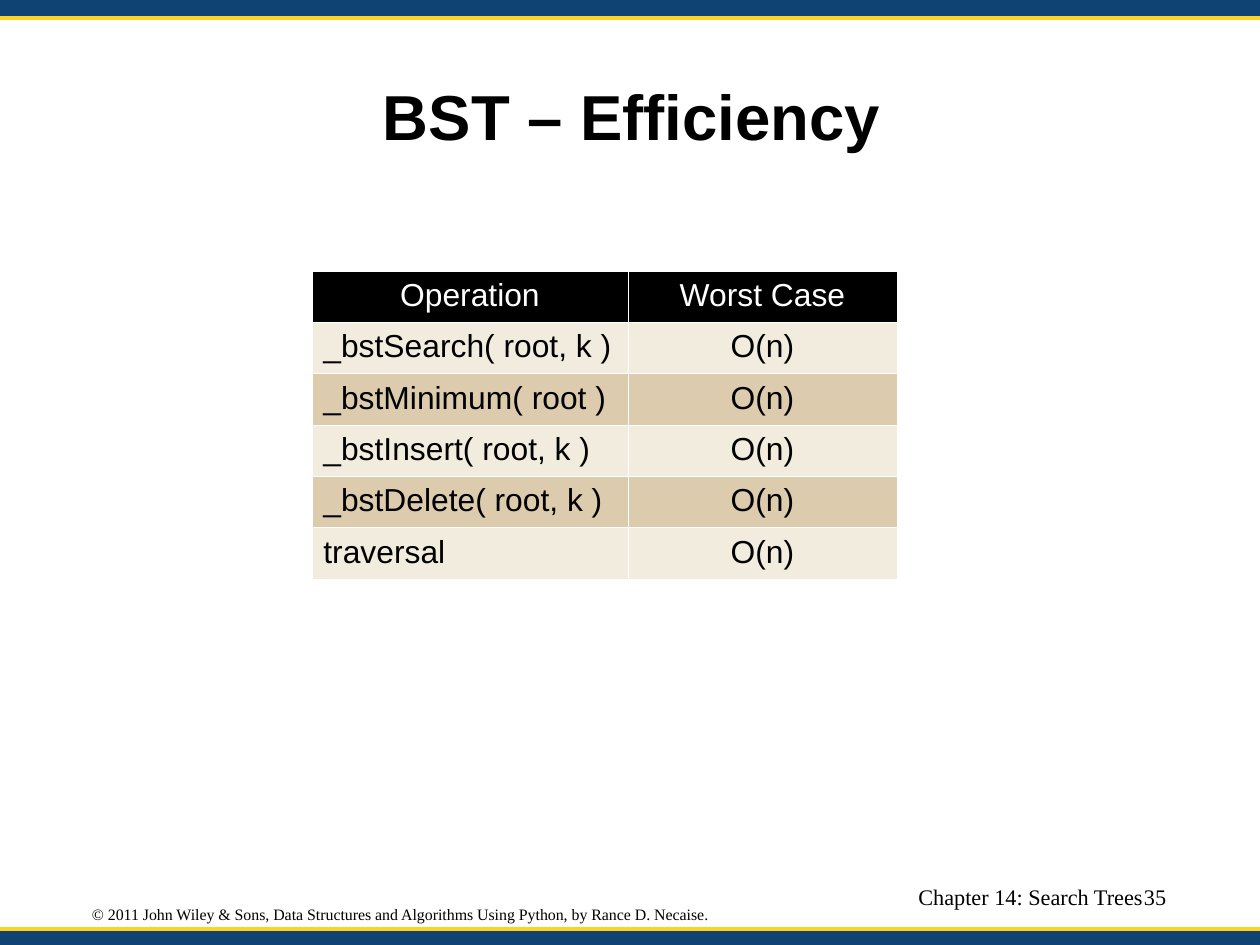
from lxml.etree import SubElement
from pptx import Presentation
from pptx.dml.color import RGBColor
from pptx.enum.shapes import MSO_CONNECTOR as Connector, MSO_SHAPE as Shape
from pptx.enum.text import MSO_ANCHOR as Anchor, PP_ALIGN as Align
from pptx.oxml.ns import qn
from pptx.util import Pt

# Content
WIDTH, HEIGHT = 1260, 945
NAVY, GOLD, BLACK, WHITE = "0F4374", "FFD320", "000000", "FFFFFF"
BANDS = ("F2ECDE", "DCCBAC")

# text, (left, top, width, height), top inset, font, size, bold, align, anchor, wrap
TEXTS = [
    ("© 2011 John Wiley & Sons, Data Structures and Algorithms Using Python, by Rance D. Necaise.",
     (92, 906, 623, 17), 1, "Times New Roman", 10, False, Align.LEFT, Anchor.MIDDLE, False),
    ("BST – Efficiency", (63, 38, 1137, 158), 5, "Arial", 40, True, Align.CENTER, Anchor.MIDDLE, True),
    ("Chapter 14: Search Trees", (744, 886, 399, 40), 0, "Times New Roman", 14, False,
     Align.RIGHT, Anchor.TOP, True),
    ("35", (1144, 886, 53, 40), 0, "Times New Roman", 14, False, Align.LEFT, Anchor.TOP, True),
]
BARS = [(0, 18, 18), (929, 16, 929)]  # bar top, bar height, gold line y
ROWS = [
    ("Operation", "Worst Case"),
    ("_bstSearch( root, k )", "O(n)"),
    ("_bstMinimum( root )", "O(n)"),
    ("_bstInsert( root, k )", "O(n)"),
    ("_bstDelete( root, k )", "O(n)"),
    ("traversal", "O(n)"),
]
TABLE_LEFT, TABLE_TOP, TABLE_HEIGHT = 312, 271, 308
COLUMNS = (316, 269)


def px(length):
    return length * 8000


def color(value):
    return RGBColor.from_string(value)


def style(paragraph, font, size, value, align, bold=False):
    paragraph.alignment = align
    paragraph.line_spacing = 0.93
    paragraph.font.name = font
    paragraph.font.size = Pt(size)
    paragraph.font.bold = bold
    paragraph.font.color.rgb = color(value)


def add_border(cell, side):
    line = SubElement(cell._tc.get_or_add_tcPr(), qn(f"a:ln{side}"), w=str(Pt(0.28)))
    fill = SubElement(line, qn("a:solidFill"))
    SubElement(fill, qn("a:srgbClr"), val=WHITE)


presentation = Presentation()
presentation.slide_width, presentation.slide_height = px(WIDTH), px(HEIGHT)
slide = presentation.slides.add_slide(presentation.slide_layouts[6])

# Navy bars edged in gold
for top, height, line_y in BARS:
    bar = slide.shapes.add_shape(Shape.RECTANGLE, 0, px(top), px(WIDTH), px(height))
    bar.shadow.inherit = False
    bar.fill.solid()
    bar.fill.fore_color.rgb = color(NAVY)
    bar.line.fill.background()
    edge = slide.shapes.add_connector(Connector.STRAIGHT, 0, px(line_y), px(WIDTH), px(line_y))
    edge.line.color.rgb = color(GOLD)
    edge.line.width = Pt(2)
    SubElement(edge._element.spPr, qn("a:effectLst"))

# Title and footer
for text, box, inset, font, size, bold, align, anchor, wrap in TEXTS:
    frame = slide.shapes.add_textbox(*map(px, box)).text_frame
    frame.margin_left = frame.margin_right = frame.margin_bottom = 0
    frame.margin_top = px(inset)
    frame.word_wrap = wrap
    frame.vertical_anchor = anchor
    frame.text = text
    style(frame.paragraphs[0], font, size, BLACK, align, bold)

# Efficiency table
table = slide.shapes.add_table(len(ROWS), len(COLUMNS), px(TABLE_LEFT), px(TABLE_TOP),
                               px(sum(COLUMNS)), px(TABLE_HEIGHT)).table
for column, width in zip(table.columns, COLUMNS):
    column.width = px(width)
for r, row in enumerate(ROWS):
    for c, text in enumerate(row):
        cell = table.cell(r, c)
        cell.text = text
        cell.vertical_anchor = Anchor.MIDDLE
        for side in "LRTB":
            add_border(cell, side)
        cell.fill.solid()
        cell.fill.fore_color.rgb = color(BANDS[(r - 1) % 2] if r else BLACK)
        style(cell.text_frame.paragraphs[0], "Arial", 20, BLACK if r else WHITE,
              Align.LEFT if r and c == 0 else Align.CENTER)

presentation.save("out.pptx")
